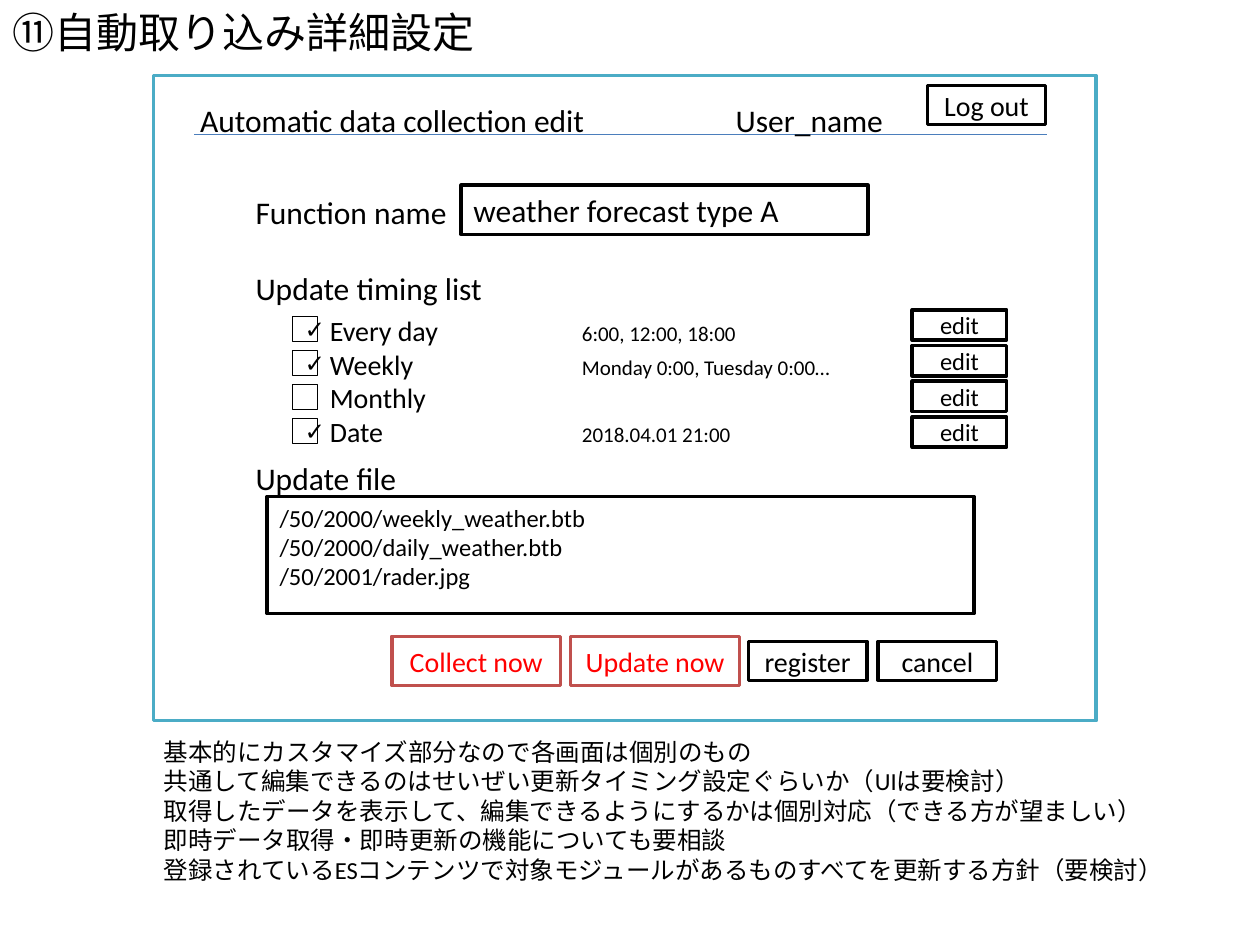
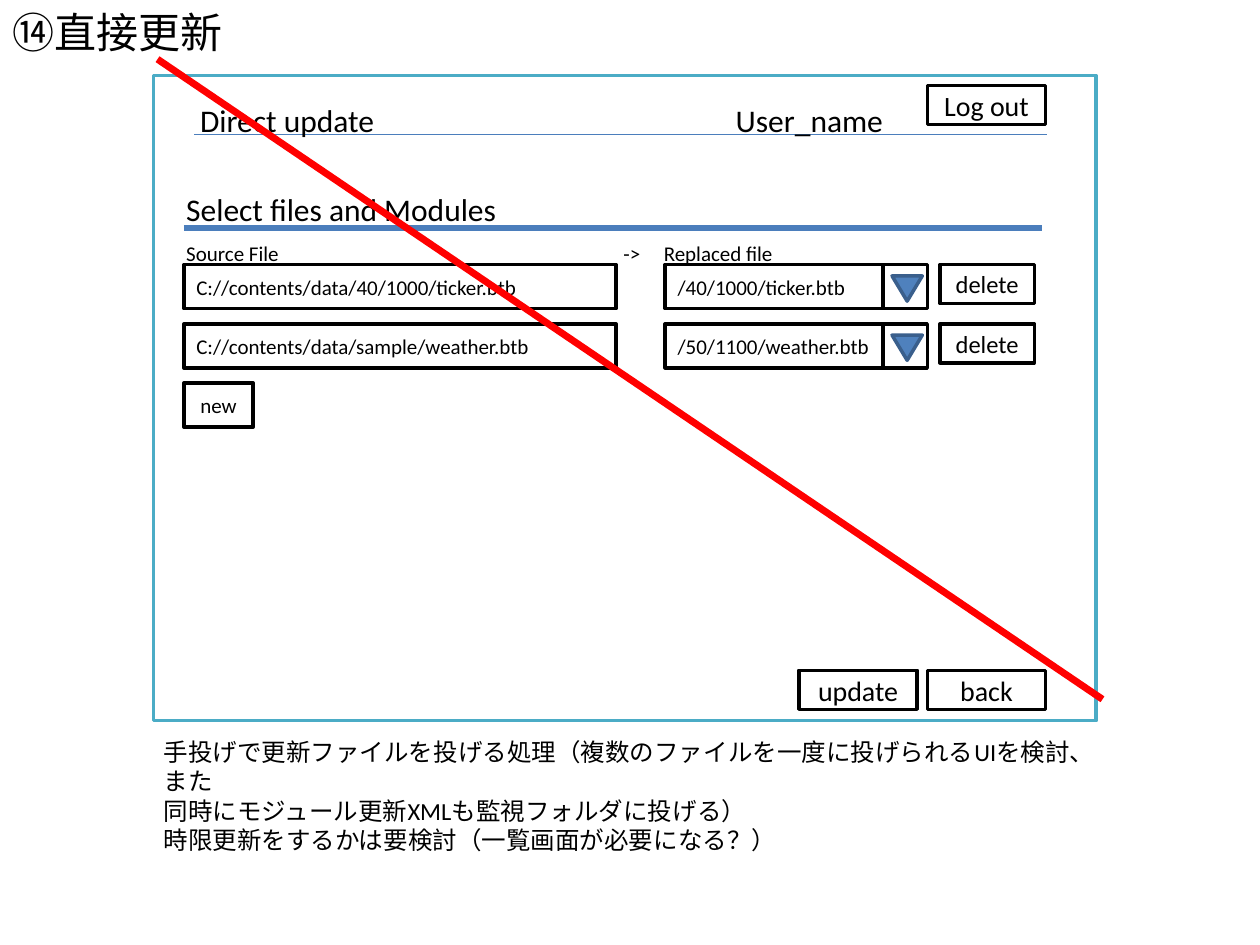
from lxml.etree import SubElement
from pptx import Presentation
from pptx.dml.color import RGBColor
from pptx.enum.shapes import MSO_CONNECTOR, MSO_SHAPE
from pptx.enum.text import MSO_ANCHOR, MSO_AUTO_SIZE, PP_ALIGN
from pptx.oxml.ns import qn
from pptx.util import Inches, Pt

FONT = "Calibri"
BLACK, WHITE, RED = "000000", "FFFFFF", "FF0000"
TEAL, BRICK, RULE = "4BACC6", "C0504D", "4B7EBC"
BLUE, NAVY = "4F81BD", "3A5F8C"
LEFT, TOP = 1.22, 0.6


def color(code):
    return RGBColor.from_string(code)


def write(frame, lines, size, ink=BLACK, align=PP_ALIGN.LEFT, space=None, tabs=(), gaps=()):
    for i, line in enumerate(lines):
        para = frame.paragraphs[0] if i == 0 else frame.add_paragraph()
        if tabs:
            stops = SubElement(para._p.get_or_add_pPr(), qn("a:tabLst"))
            for stop in tabs:
                SubElement(stops, qn("a:tab"), pos=str(Inches(stop)), algn="l")
        para.alignment = align
        if space:
            para.line_spacing = space
        if i and gaps:
            para.space_before = Pt(gaps[i - 1])
        parts = [(line, size)] if isinstance(line, str) else line
        for words, points in parts:
            run = para.add_run()
            run.text = words
            run.font.name = FONT
            run.font.size = Pt(points)
            run.font.color.rgb = color(ink)


def text(slide, x, y, w, h, lines, size, wrap=True, **style):
    box = slide.shapes.add_textbox(Inches(x), Inches(y), Inches(w), Inches(h))
    box.text_frame.word_wrap = wrap
    write(box.text_frame, lines, size, **style)


def shape(slide, x, y, w, h, edge=BLACK, width=2, fill=WHITE, kind=MSO_SHAPE.RECTANGLE):
    item = slide.shapes.add_shape(kind, Inches(x), Inches(y), Inches(w), Inches(h))
    item.shadow.inherit = False
    item.fill.solid()
    item.fill.fore_color.rgb = color(fill)
    item.line.color.rgb = color(edge)
    item.line.width = Pt(width)
    return item


def field(slide, x, y, w, h, lines, size, anchor=MSO_ANCHOR.MIDDLE, edge=BLACK, width=2, **style):
    frame = shape(slide, x, y, w, h, edge, width).text_frame
    frame.word_wrap = True
    frame.vertical_anchor = anchor
    write(frame, lines, size, **style)


def button(slide, x, y, label, w=0.94, h=0.31, size=16, **style):
    field(slide, x, y, w, h, [label], size, align=PP_ALIGN.CENTER, **style)


def rule(slide, x1, y1, x2, y2, ink, width):
    line = slide.shapes.add_connector(
        MSO_CONNECTOR.STRAIGHT, Inches(x1), Inches(y1), Inches(x2), Inches(y2))
    line.line.color.rgb = color(ink)
    line.line.width = Pt(width)
    SubElement(line._element.spPr, qn("a:effectLst"))


def title(slide, words):
    head = slide.shapes.title
    head.left, head.top, head.width, head.height = 0, 0, Inches(10), Inches(0.6)
    frame = head.text_frame
    frame.vertical_anchor = MSO_ANCHOR.TOP
    frame.auto_size = MSO_AUTO_SIZE.NONE
    write(frame, [words], 24)


def window(slide, x, y, name, width):
    shape(slide, x, y, 7.48, 5.12, TEAL)
    rule(slide, x + 0.32, y + 0.47, x + 7.09, y + 0.47, RULE, 0.75)
    button(slide, x + 6.14, y + 0.08, "Log out")
    text(slide, x + 0.27, y, width, 0.51, [name], 18, wrap=False, space=1.5)
    text(slide, x + 4.52, y, 1.38, 0.51, ["User_name"], 18, wrap=False, space=1.5)


def timing(slide, x, y):
    plans = [("Every day", "6:00, 12:00, 18:00"), ("Weekly", "Monday 0:00, Tuesday 0:00…"),
             ("Monthly", ""), ("Date", "2018.04.01 21:00")]
    lines = [[(name + "\t", 16), (when, 12)] if when else name for name, when in plans]
    text(slide, x, y, 5.87, 1.18, lines, 16, tabs=[2])
    for i, (name, when) in enumerate(plans):
        mark = ["✓"] if when else []
        field(slide, x - 0.2, y + 0.07 + 0.27 * i, 0.2, 0.2, mark, 14,
              width=0.25, align=PP_ALIGN.CENTER)
        button(slide, x + 4.72, y + 0.02 + 0.283 * i, "edit", 0.75, 0.24, 14)


def form(slide, x, y):
    text(slide, x + 0.71, y + 0.88, 5.67, 2.52,
         ["Function name", "Update timing list", "Update file"], 18, gaps=[22, 87])
    field(slide, x + 2.44, y + 0.87, 3.23, 0.39, ["weather forecast type A"], 18)
    field(slide, x + 0.9, y + 3.34, 5.61, 0.93,
          ["/50/2000/weekly_weather.btb", "/50/2000/daily_weather.btb", "/50/2001/rader.jpg"],
          14, anchor=MSO_ANCHOR.TOP)
    timing(slide, x + 1.3, y + 1.84)
    for i, label in enumerate(["Collect now", "Update now"]):
        button(slide, x + 1.89 + 1.42 * i, y + 4.45, label, 1.34, 0.39, edge=BRICK, ink=RED)
    for i, label in enumerate(["register", "cancel"]):
        button(slide, x + 4.72 + 1.03 * i, y + 4.49, label)


def pair(slide, x, y, source, target):
    field(slide, x, y, 3.43, 0.35, [source], 12)
    field(slide, x + 3.82, y, 1.77, 0.35, [target], 12)
    shape(slide, x + 5.55, y, 0.35, 0.35)
    shape(slide, x + 5.62, y + 0.09, 0.24, 0.2, NAVY, 2, BLUE, MSO_SHAPE.FLOWCHART_MERGE)
    button(slide, x + 6, y, "delete", 0.75, size=14)


def picker(slide, x, y):
    rule(slide, x + 0.24, y + 1.21, x + 7.05, y + 1.21, RULE, 3)
    text(slide, x + 0.16, y + 0.71, 5.83, 0.86,
         ["Select files and Modules", [("Source File\t->\tReplaced file", 12)]],
         18, space=1.5, tabs=[3.47, 3.79])
    files = [("C://contents/data/40/1000/ticker.btb", "/40/1000/ticker.btb"),
             ("C://contents/data/sample/weather.btb", "/50/1100/weather.btb")]
    for i, (source, target) in enumerate(files):
        pair(slide, x + 0.24, y + 1.5 + 0.47 * i, source, target)
    button(slide, x + 0.24, y + 2.44, "new", 0.55, 0.35, 12)
    for i, label in enumerate(["update", "back"]):
        button(slide, x + 5.12 + 1.02 * i, y + 4.72, label)
    rule(slide, x + 0.03, y - 0.13, x + 7.53, y + 4.95, RED, 4)


def page(deck, head, name, width, body, notes, span):
    slide = deck.slides.add_slide(deck.slide_layouts[5])
    title(slide, head)
    window(slide, LEFT, TOP, name, width)
    body(slide, LEFT, TOP)
    text(slide, 1.2, 5.8, span, 0.23 * len(notes) + 0.1, notes, 14)


def main():
    deck = Presentation()
    deck.slide_width, deck.slide_height = Inches(10), Inches(7.5)
    page(deck, "⑪自動取り込み詳細設定", "Automatic data collection edit", 3.29, form, [
        "基本的にカスタマイズ部分なので各画面は個別のもの",
        "共通して編集できるのはせいぜい更新タイミング設定ぐらいか（UIは要検討）",
        "取得したデータを表示して、編集できるようにするかは個別対応（できる方が望ましい）",
        "即時データ取得・即時更新の機能についても要相談",
        "登録されているESコンテンツで対象モジュールがあるものすべてを更新する方針（要検討）",
    ], 8.29)
    page(deck, "⑭直接更新", "Direct update", 1.6, picker, [
        "手投げで更新ファイルを投げる処理（複数のファイルを一度に投げられるUIを検討、また",
        "同時にモジュール更新XMLも監視フォルダに投げる）",
        "時限更新をするかは要検討（一覧画面が必要になる？）",
    ], 7.74)
    deck.save("out.pptx")


if __name__ == "__main__":
    main()
